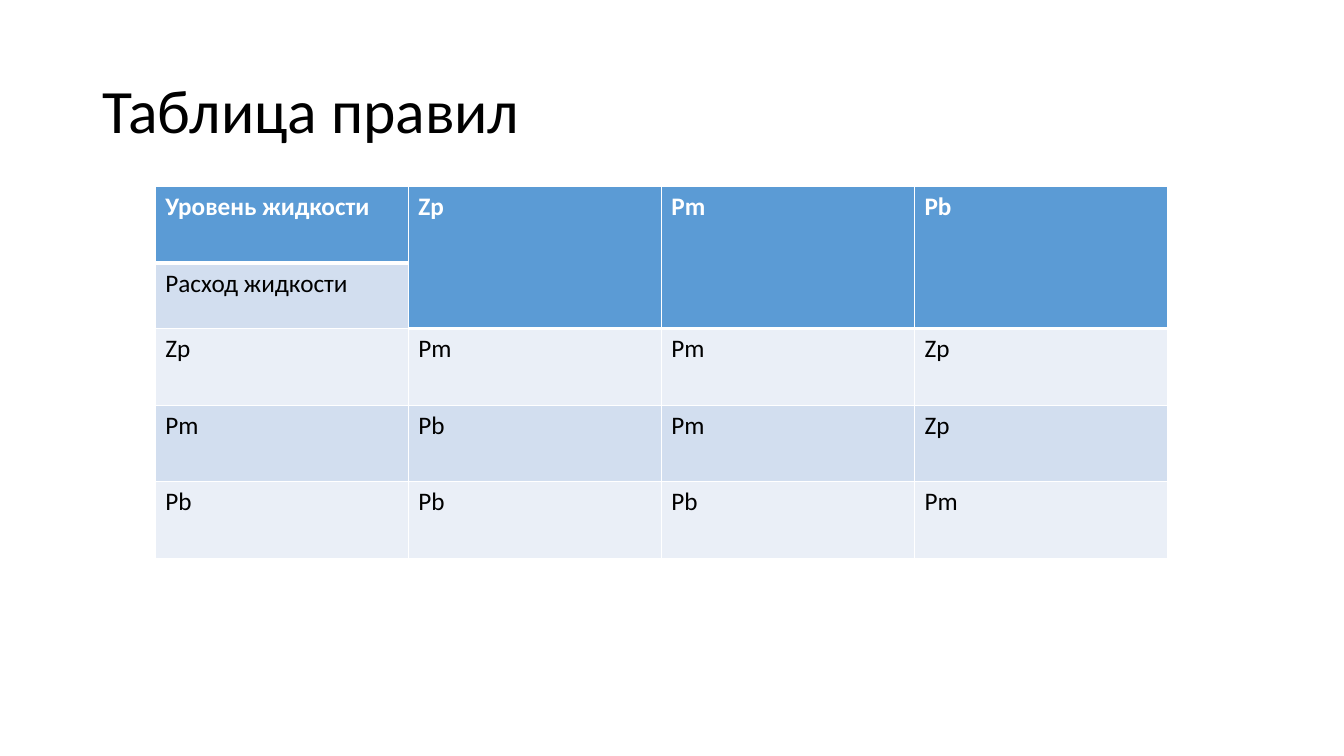
import pptx
import pptx.dml.color
import pptx.enum.text
import pptx.oxml
import pptx.oxml.ns
import pptx.util
from pptx.util import Inches

TITLE = "Таблица правил"
RULES = [
    ["Уровень жидкости", "Zp", "Pm", "Pb"],
    ["Расход жидкости", "", "", ""],
    ["Zp", "Pm", "Pm", "Zp"],
    ["Pm", "Pb", "Pm", "Zp"],
    ["Pb", "Pb", "Pb", "Pm"],
]
ROW_HEIGHTS = [0.76, 0.65, 0.76, 0.76, 0.76]
COL_WIDTH = 2.51
TABLE_LEFT, TABLE_TOP = 1.54, 1.85

THEME = {
    "font": "Calibri", "title_size": 44, "cell_size": 18,
    "text": "000000", "header_text": "FFFFFF", "header": "5B9BD5",
    "bands": ["EAEFF7", "D2DEEF"],
    "border": "FFFFFF", "border_width": 1, "header_border_width": 3,
}


def rgb(value):
    return pptx.dml.color.RGBColor.from_string(value)


def write(tf, text, size, color=THEME["text"], bold=False, spacing=1.0):
    p = tf.paragraphs[0]
    p.alignment = pptx.enum.text.PP_ALIGN.LEFT
    p.line_spacing = spacing
    r = p.add_run()
    r.text = text
    r.font.name = THEME["font"]
    r.font.size = pptx.util.Pt(size)
    r.font.bold = bold
    r.font.color.rgb = rgb(color)


def set_borders(cell, bottom):
    """Draw the four cell borders; call before the fill, which must follow them in the XML."""
    tc_pr = cell._tc.get_or_add_tcPr()
    side = THEME["border_width"]
    for tag, width in (("lnL", side), ("lnR", side), ("lnT", side), ("lnB", bottom)):
        tc_pr.append(pptx.oxml.parse_xml(
            f'<a:{tag} {pptx.oxml.ns.nsdecls("a")} w="{pptx.util.Pt(width)}">'
            f'<a:solidFill><a:srgbClr val="{THEME["border"]}"/></a:solidFill></a:{tag}>'))


def add_title(s):
    sp = s.shapes.title
    sp.left, sp.top, sp.width, sp.height = map(Inches, (0.92, 0.4, 11.5, 1.45))
    sp.text_frame.vertical_anchor = pptx.enum.text.MSO_ANCHOR.MIDDLE
    write(sp.text_frame, TITLE, THEME["title_size"], spacing=0.9)


def add_rules(s):
    cols = len(RULES[0])
    table = s.shapes.add_table(
        len(RULES), cols, Inches(TABLE_LEFT), Inches(TABLE_TOP),
        Inches(COL_WIDTH * cols), Inches(sum(ROW_HEIGHTS))).table
    for column in table.columns:
        column.width = Inches(COL_WIDTH)
    for row, height in zip(table.rows, ROW_HEIGHTS):
        row.height = Inches(height)
    for j in range(1, cols):
        table.cell(0, j).merge(table.cell(1, j))

    for i, row in enumerate(RULES):
        for j, text in enumerate(row):
            cell = table.cell(i, j)
            header = i == 0 or cell.is_spanned
            set_borders(cell, THEME["header_border_width" if header else "border_width"])
            cell.fill.solid()
            cell.fill.fore_color.rgb = rgb(THEME["header"] if header else THEME["bands"][i % 2])
            if text:
                write(cell.text_frame, text, THEME["cell_size"], bold=header,
                      color=THEME["header_text" if header else "text"])


def main():
    prs = pptx.Presentation()
    prs.slide_width, prs.slide_height = Inches(13.33), Inches(7.5)
    s = prs.slides.add_slide(prs.slide_layouts[5])
    add_title(s)
    add_rules(s)
    prs.save("out.pptx")


if __name__ == "__main__":
    main()
